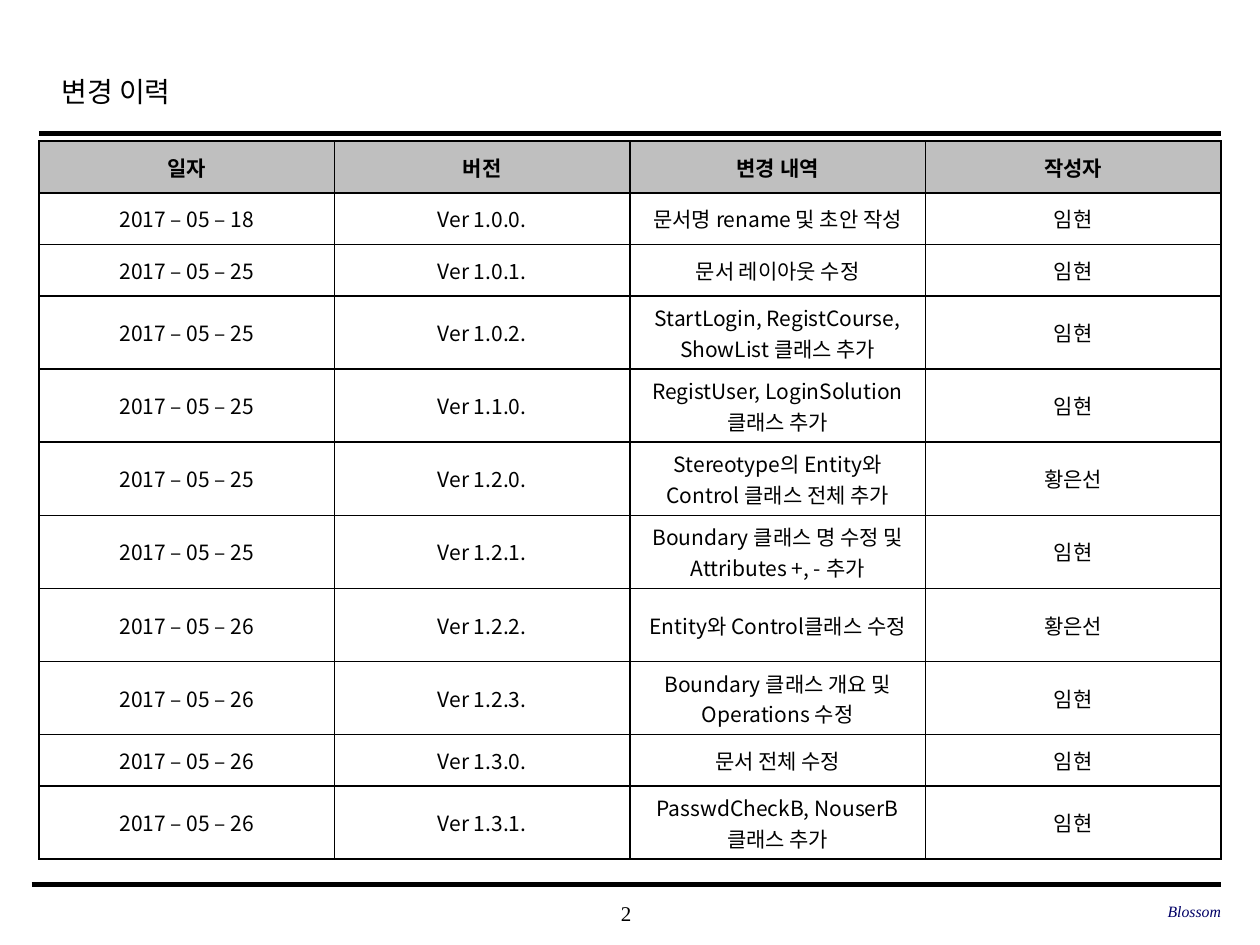
import pptx
import pptx.dml.color
import pptx.enum.shapes
import pptx.enum.text
import pptx.oxml
import pptx.oxml.ns
import pptx.util

Inches = pptx.util.Inches
Pt = pptx.util.Pt
ALIGN = pptx.enum.text.PP_ALIGN
MIDDLE = pptx.enum.text.MSO_ANCHOR.MIDDLE
NS = pptx.oxml.ns.nsdecls("a")

SERIF = "Times New Roman"
SANS = "Noto Sans CJK KR"
BLACK, WHITE, GRAY, NAVY = "000000", "FFFFFF", "BFBFBF", "000066"

ONE_LINE, TWO_LINES = 0.41, 0.58  # row heights
LINE_CHARS = 20  # longest text that stays on one line

HEADERS = ("일자", "버전", "변경 내역", "작성자")
REVISIONS = (
    ("2017 – 05 – 18", "Ver 1.0.0.", "문서명 rename 및 초안 작성", "임현"),
    ("2017 – 05 – 25", "Ver 1.0.1.", "문서 레이아웃 수정", "임현"),
    ("2017 – 05 – 25", "Ver 1.0.2.", "StartLogin, RegistCourse, ShowList 클래스 추가", "임현"),
    ("2017 – 05 – 25", "Ver 1.1.0.", "RegistUser, LoginSolution 클래스 추가", "임현"),
    ("2017 – 05 – 25", "Ver 1.2.0.", "Stereotype의 Entity와 Control 클래스 전체 추가", "황은선"),
    ("2017 – 05 – 25", "Ver 1.2.1.", "Boundary 클래스 명 수정 및 Attributes +, - 추가", "임현"),
    ("2017 – 05 – 26", "Ver 1.2.2.", "Entity와 Control클래스 수정", "황은선"),
    ("2017 – 05 – 26", "Ver 1.2.3.", "Boundary 클래스 개요 및 Operations 수정", "임현"),
    ("2017 – 05 – 26", "Ver 1.3.0.", "문서 전체 수정", "임현"),
    ("2017 – 05 – 26", "Ver 1.3.1.", "PasswdCheckB, NouserB 클래스 추가", "임현"),
)


def rgb(color):
    return pptx.dml.color.RGBColor.from_string(color)


def write(tf, text, align, color=BLACK, **font):
    """Put one formatted run in a text frame and return its paragraph."""
    p = tf.paragraphs[0]
    p.alignment = align
    r = p.add_run()
    r.text = text
    for name, value in font.items():
        setattr(r.font, name, value)
    r.font.color.rgb = rgb(color)
    r.font._element.append(
        pptx.oxml.parse_xml(f'<a:ea {NS} typeface="{SANS}"/>'))
    return p


def add_text(s, box, text, align, inset=None, **font):
    tf = s.shapes.add_textbox(*map(Inches, box)).text_frame
    tf.word_wrap = True
    tf.vertical_anchor = MIDDLE
    if inset is not None:
        for side in ("left", "top", "right", "bottom"):
            setattr(tf, f"margin_{side}", Inches(inset))
    return write(tf, text, align, **font)


def add_rule(s, left, right, y, width):
    ln = s.shapes.add_connector(
        pptx.enum.shapes.MSO_CONNECTOR.STRAIGHT,
        Inches(left), Inches(y), Inches(right), Inches(y))
    ln.line.color.rgb = rgb(BLACK)
    ln.line.width = Pt(width)
    ln._element.spPr.append(pptx.oxml.parse_xml(f"<a:effectLst {NS}/>"))


def add_borders(cell, color, width):
    tc_pr = cell._tc.get_or_add_tcPr()
    for i, side in enumerate(("lnL", "lnR", "lnT", "lnB")):
        tc_pr.insert(i, pptx.oxml.parse_xml(
            f'<a:{side} {NS} w="{Pt(width)}"><a:solidFill>'
            f'<a:srgbClr val="{color}"/></a:solidFill></a:{side}>'))


def add_header(s, left, top, width):
    p = add_text(s, (left + 0.08, top - 0.04, 7.55, 0.5), "변경 이력", ALIGN.LEFT,
                 size=Pt(16), name=SERIF)
    p.line_spacing = 1.2
    add_rule(s, left, left + width, top + 0.57, 2.5)


def add_history(s, left, top, width):
    rows = (HEADERS, *REVISIONS)
    heights = [TWO_LINES if len(row[2]) > LINE_CHARS else ONE_LINE
               for row in rows]
    table = s.shapes.add_table(
        len(rows), len(HEADERS),
        *map(Inches, (left, top, width, sum(heights)))).table
    for i, (row, height) in enumerate(zip(rows, heights)):
        table.rows[i].height = Inches(height)
        for j, text in enumerate(row):
            cell = table.cell(i, j)
            cell.vertical_anchor = MIDDLE
            cell.fill.solid()
            cell.fill.fore_color.rgb = rgb(WHITE if i else GRAY)
            add_borders(cell, BLACK, 1)
            write(cell.text_frame, text, ALIGN.CENTER,
                  size=Pt(12), name=SANS, bold=i == 0)


def add_footer(s, left, top, right):
    add_rule(s, left, right, top, 3)
    add_text(s, (left + 3.68, top + 0.06, 2.08, 0.33), "2", ALIGN.CENTER,
             inset=0, size=Pt(12), name=SERIF)
    add_text(s, (right - 3.06, top + 0.05, 3.06, 0.33), "Blossom", ALIGN.RIGHT,
             inset=0, color=NAVY, size=Pt(9), name=SERIF, italic=True)


def main():
    prs = pptx.Presentation()
    prs.slide_width, prs.slide_height = Inches(10), Inches(7.5)
    s = prs.slides.add_slide(prs.slide_layouts[6])
    add_header(s, 0.31, 0.49, 9.38)
    add_footer(s, 0.25, 7.02, 9.69)
    add_history(s, 0.31, 1.12, 9.38)
    prs.save("out.pptx")


if __name__ == "__main__":
    main()
